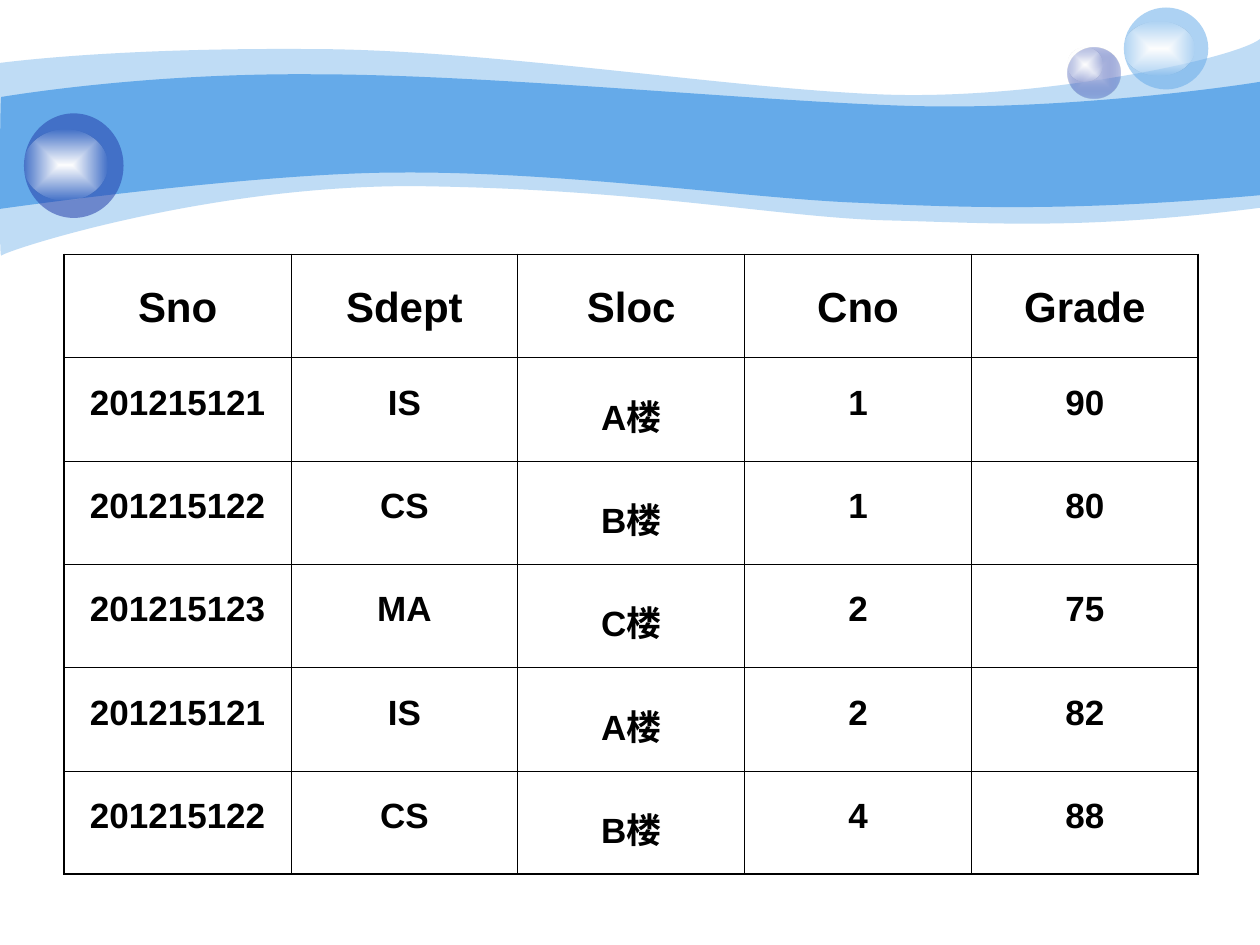
from lxml import etree
from pptx import Presentation
from pptx import util as u
from pptx.dml.color import RGBColor
from pptx.enum import shapes, text
from pptx.oxml.ns import qn

# Content
ROWS = [
    ("Sno", "Sdept", "Sloc", "Cno", "Grade"),
    ("201215121", "IS", "A楼", "1", "90"),
    ("201215122", "CS", "B楼", "1", "80"),
    ("201215123", "MA", "C楼", "2", "75"),
    ("201215121", "IS", "A楼", "2", "82"),
    ("201215122", "CS", "B楼", "4", "88"),
]

SKY, NAVY, WHITE, BLACK = "65AAE9", "233DA9", "FFFFFF", "000000"

# Waves: start point, then lines (one point) and curves (three points)
WAVES = [
    ((0, 0.5), [
        [(0.24, 0.47), (1.07, 0.38), (2.47, 0.39)],
        [(3.86, 0.39), (5.75, 0.7), (6.99, 0.75)],
        [(8.22, 0.8), (9.8, 0.47), (10, 0.31)],
        [(10, 1.65)],
        [(8.58, 1.83), (7.87, 1.77), (7.05, 1.75)],
        [(6.22, 1.73), (5.15, 1.51), (3.43, 1.48)],
        [(1.72, 1.44), (0.04, 1.99), (0.01, 2.03)],
        [(-0.01, 2.08), (0, 0.75), (0, 0.5)],
    ], [(SKY, 41)]),
    ((0.01, 0.77), [
        [(0.02, 0.77), (1.1, 0.58), (2.48, 0.59)],
        [(3.86, 0.59), (5.95, 0.8), (7.18, 0.84)],
        [(8.41, 0.88), (9.76, 0.69), (10, 0.65)],
        [(10, 1.55)],
        [(8.53, 1.68), (7.65, 1.65), (6.82, 1.61)],
        [(5.99, 1.58), (4.47, 1.36), (3.17, 1.37)],
        [(2.03, 1.37), (-0.02, 1.66), (-0.01, 1.66)],
        [(0, 1.66), (0, 0.77), (0.01, 0.77)],
    ], [(SKY, 100)]),
]

# Orbs: ball box, shine box, ball colours as (hex, opacity)
ORBS = [
    ((8.47, 0.38, 0.42, 0.4), (8.47, 0.38, 0.28, 0.27),
     [("C7CEE9", 100), (NAVY, 31)]),
    ((8.92, 0.06, 0.67, 0.65), (8.92, 0.17, 0.56, 0.43), [(SKY, 53)]),
    ((0.19, 0.9, 0.79, 0.83), (0.19, 1.03, 0.66, 0.56), [(NAVY, 53)]),
]
SHINE = [(WHITE, 100), (WHITE, 0)]


def rgb(code):
    return RGBColor.from_string(code)


def sub(node, tag, **attrs):
    item = etree.SubElement(node, qn(tag))
    for key, val in attrs.items():
        item.set(key, str(val))
    return item


def tint(node, code, alpha=100):
    clr = sub(node, "a:srgbClr", val=rgb(code))
    if alpha < 100:
        sub(clr, "a:alpha", val=alpha * 1000)


def paint(shape, stops):
    """One stop gives a solid fill; two run from the centre to the edge."""
    shape.shadow.inherit = False
    shape.line.fill.background()
    shape.fill.solid()
    solid = shape._element.spPr.find(qn("a:solidFill"))
    if len(stops) == 1:
        tint(solid, *stops[0])
        return
    grad = etree.Element(qn("a:gradFill"), rotWithShape="1")
    band = sub(grad, "a:gsLst")
    for pos, stop in zip((0, 100000), stops):
        tint(sub(band, "a:gs", pos=pos), *stop)
    sub(sub(grad, "a:path", path="rect"), "a:fillToRect",
        l=50000, t=50000, r=50000, b=50000)
    solid.getparent().replace(solid, grad)


def wave(slide, start, parts, stops):
    pen = slide.shapes.build_freeform(*map(u.Inches, start))
    pen.add_line_segments([tuple(map(u.Inches, p)) for part in parts for p in part])
    shape = pen.convert_to_shape()
    # Join each group of three points into a curve
    lines = iter(list(shape._element.iter(qn("a:lnTo"))))
    for part in parts:
        first = next(lines)
        if len(part) == 3:
            first.tag = qn("a:cubicBezTo")
            for _ in range(2):
                line = next(lines)
                first.append(line[0])
                line.getparent().remove(line)
    paint(shape, stops)


def orb(slide, ball, shine, stops):
    group = slide.shapes.add_group_shape()
    for box, look in ((ball, stops), (shine, SHINE)):
        paint(group.shapes.add_shape(shapes.MSO_SHAPE.OVAL, *map(u.Inches, box)), look)


def write(frame, words, size=20, bold=True, color=BLACK, font="Arial",
          align=text.PP_ALIGN.CENTER, space=1.5):
    par = frame.paragraphs[0]
    par.alignment, par.line_spacing = align, space
    run = par.add_run()
    run.text = words
    run.font.name, run.font.size, run.font.bold = font, u.Pt(size), bold
    run.font.color.rgb = rgb(color)


def edge(cell, side, width):
    line = sub(cell._tc.get_or_add_tcPr(), "a:ln" + side, w=u.Pt(width))
    tint(sub(line, "a:solidFill"), BLACK)


def grid(slide, rows, left, top, wide, high):
    last, end = len(rows) - 1, len(rows[0]) - 1
    table = slide.shapes.add_table(
        last + 1, end + 1, *map(u.Inches, (left, top, wide, high))).table
    table.first_row = table.horz_banding = False
    for r, row in enumerate(rows):
        for c, words in enumerate(row):
            cell = table.cell(r, c)
            outer = {"L": c == 0, "R": c == end, "T": r == 0, "B": r == last}
            for side, thick in outer.items():
                edge(cell, side, 1.08 if thick else 0.45)
            cell.fill.background()
            write(cell.text_frame, words, size=20 if r else 24)


def main():
    deck = Presentation()
    deck.slide_width, deck.slide_height = u.Inches(10), u.Inches(7.5)
    slide = deck.slides.add_slide(deck.slide_layouts[6])
    # Banner
    for item in WAVES:
        wave(slide, *item)
    for item in ORBS:
        orb(slide, *item)
    # Result table
    grid(slide, ROWS, 0.51, 2.02, 9, 4.92)
    deck.save("out.pptx")


if __name__ == "__main__":
    main()
